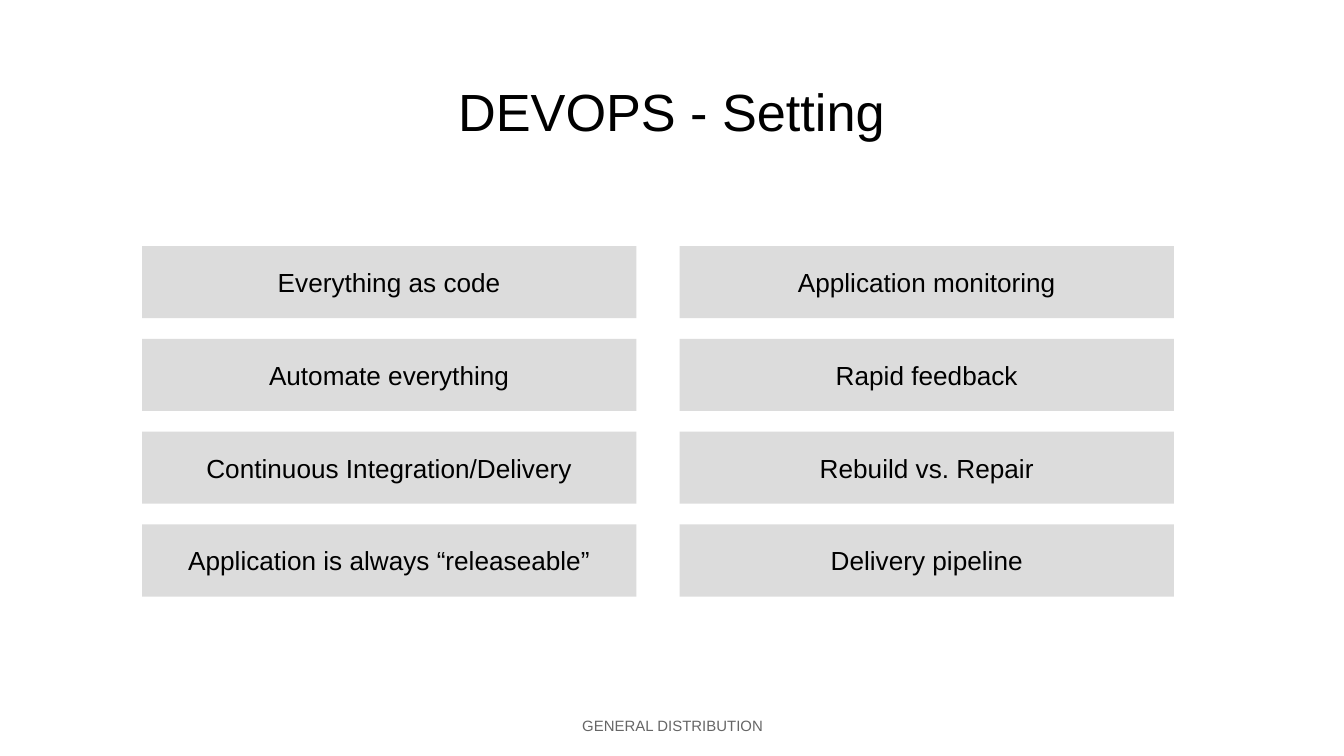
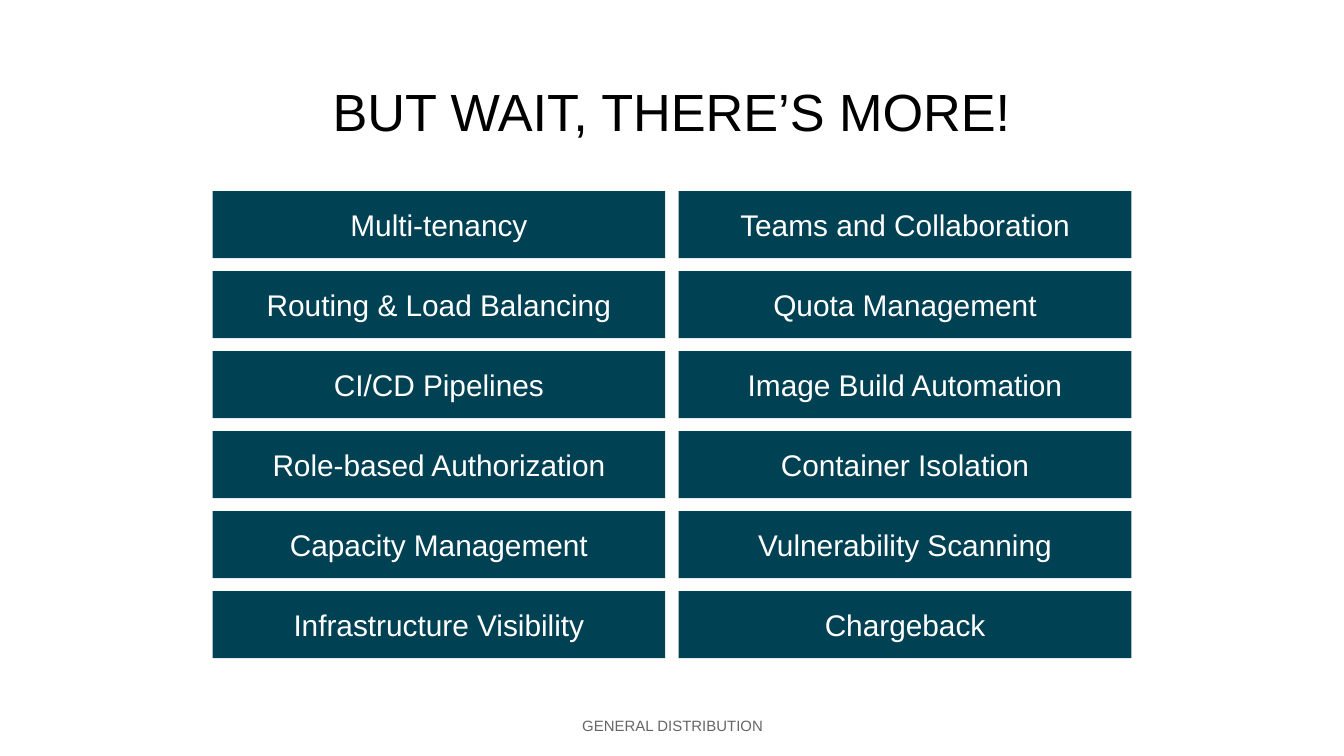
from pptx import Presentation
from pptx.dml.color import RGBColor
from pptx.enum.shapes import MSO_SHAPE
from pptx.enum.text import MSO_ANCHOR, PP_ALIGN
from pptx.util import Pt

RECTANGLE = MSO_SHAPE.RECTANGLE
MIDDLE, BOTTOM = MSO_ANCHOR.MIDDLE, MSO_ANCHOR.BOTTOM
CENTER = PP_ALIGN.CENTER

COLORS = {
    "black": "000000",
    "white": "FFFFFF",
    "footer": "666666",
    "gray": "DCDCDC",
    "teal": "004153",
}
FONT = "Arial"
MARGINS = {f"margin_{side}": Pt(7.2) for side in ("left", "top", "right", "bottom")}
TITLE_AREA = (64.8, 0, 589.8, 83.5)
FOOTER_AREA = (265, 373, 190.8, 31)

# Each grid lists its labels column by column; pitch is the step between boxes.
SLIDES = [
    {
        "title": "DEVOPS - Setting",
        "origin": (76.1, 131.8), "size": (264.8, 38.7), "pitch": (288, 49.7),
        "fill": "gray", "color": "black", "text_size": 14,
        "columns": [
            ["Everything as code", "Automate everything",
             "Continuous Integration/Delivery", "Application is always “releaseable”"],
            ["Application monitoring", "Rapid feedback",
             "Rebuild vs. Repair", "Delivery pipeline"],
        ],
    },
    {
        "title": "BUT WAIT, THERE’S MORE!",
        "origin": (113.9, 102.4), "size": (242.5, 36), "pitch": (249.7, 42.86),
        "fill": "teal", "color": "white", "text_size": 16,
        "columns": [
            ["Multi-tenancy", "Routing & Load Balancing", "CI/CD Pipelines",
             "Role-based Authorization", "Capacity Management", "Infrastructure Visibility"],
            ["Teams and Collaboration", "Quota Management", "Image Build Automation",
             "Container Isolation", "Vulnerability Scanning", "Chargeback"],
        ],
    },
]


def write_centered(box, text, size, color, anchor=MIDDLE):
    frame = box.text_frame
    for name, value in {**MARGINS, "word_wrap": True, "vertical_anchor": anchor}.items():
        setattr(frame, name, value)
    para = frame.paragraphs[0]
    para.alignment = CENTER
    span = para.add_run()
    span.text = text
    for name, value in {"name": FONT, "size": Pt(size)}.items():
        setattr(span.font, name, value)
    span.font.color.rgb = RGBColor.from_string(COLORS[color])


deck = Presentation()
deck.slide_width, deck.slide_height = Pt(720), Pt(405)
blank_layout = deck.slide_layouts[6]

for content in SLIDES:
    page = deck.slides.add_slide(blank_layout)
    page.background.fill.solid()
    page.background.fill.fore_color.rgb = RGBColor.from_string(COLORS["white"])

    footer = page.shapes.add_textbox(*map(Pt, FOOTER_AREA))
    write_centered(footer, "GENERAL DISTRIBUTION", 8, "footer")
    title = page.shapes.add_textbox(*map(Pt, TITLE_AREA))
    write_centered(title, content["title"], 28, "black", BOTTOM)

    left, top = content["origin"]
    step_x, step_y = content["pitch"]
    for column, labels in enumerate(content["columns"]):
        for row, label in enumerate(labels):
            area = (left + column * step_x, top + row * step_y, *content["size"])
            box = page.shapes.add_shape(RECTANGLE, *map(Pt, area))
            box.shadow.inherit = False
            box.fill.solid()
            box.fill.fore_color.rgb = RGBColor.from_string(COLORS[content["fill"]])
            box.line.fill.background()
            write_centered(box, label, content["text_size"], content["color"])

deck.save("out.pptx")
